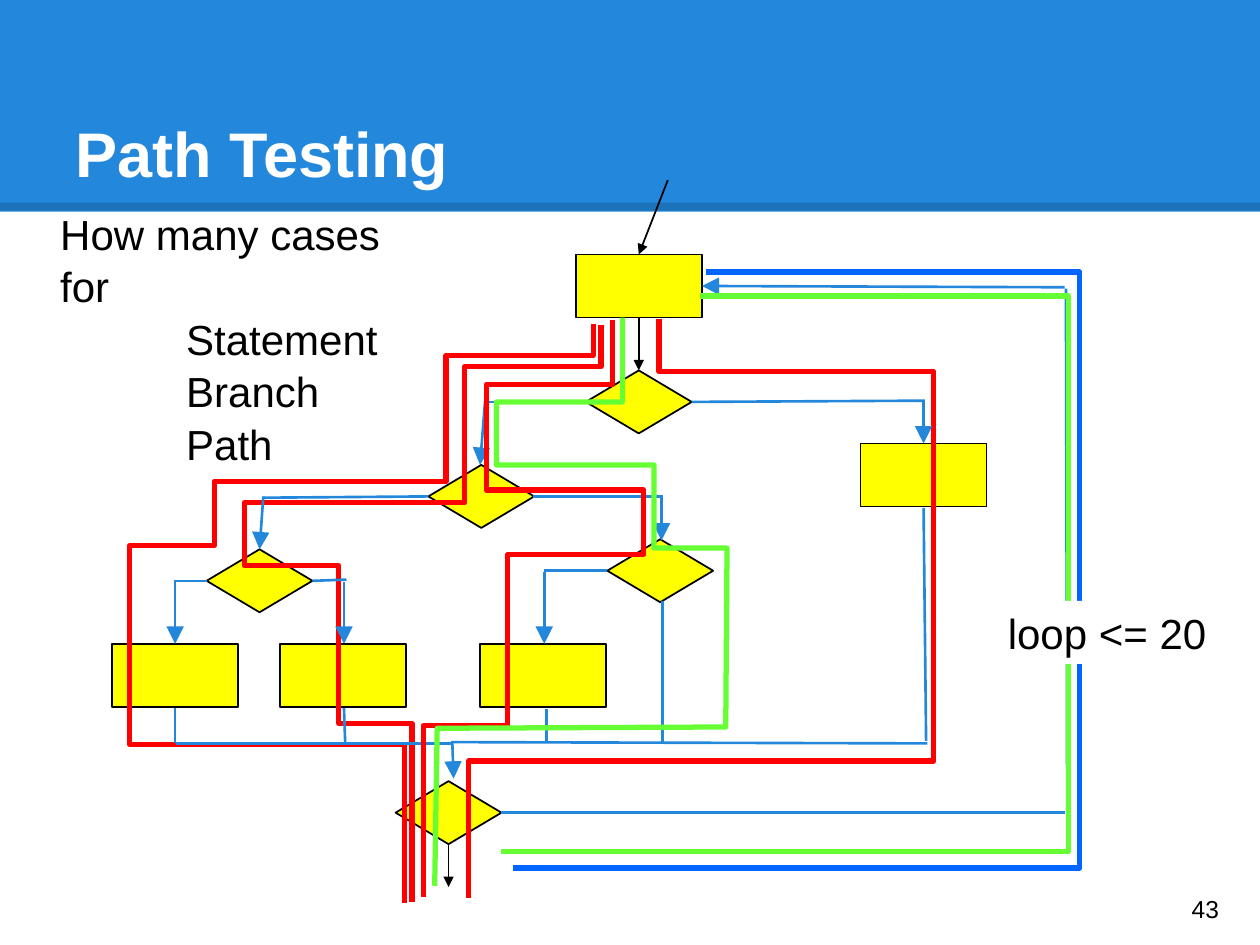
"""Build the path testing slide with its flowchart and coloured test paths."""
import dataclasses

import lxml.etree
import pptx
import pptx.dml.color
import pptx.enum.shapes
import pptx.enum.text
import pptx.oxml.ns
import pptx.util

SHAPES = pptx.enum.shapes.MSO_SHAPE
ANCHORS = pptx.enum.text.MSO_ANCHOR


@dataclasses.dataclass(frozen=True)
class Theme:
    """Hold the colours, font, type sizes and line widths."""
    font: str = "Arial"
    black: str = "000000"
    white: str = "FFFFFF"
    blue: str = "2388DB"
    yellow: str = "FFFF00"
    red: str = "FF0000"
    green: str = "66FF33"
    loop_blue: str = "0066FF"
    title_size: int = 36
    body_size: int = 24
    number_size: int = 14
    thin: float = 1
    flow: float = 1.5
    path_width: float = 3
    rule: float = 4.5


THEME = Theme()
PROCESS_SIZE = (1, 0.5)
DECISION_SIZE = (0.84, 0.5)
PROCESSES = [(4.57, 2.02), (6.83, 3.52), (3.81, 5.11), (2.22, 5.11), (0.89, 5.11)]
DECISIONS = [(3.4, 3.69), (4.65, 2.94), (4.82, 4.28), (1.64, 4.36), (3.14, 6.2)]
BLACK_ARROWS = [(5.07, 2.52, 5.07, 2.94), (3.56, 6.7, 3.56, 7.04), (5.3, 1.43, 5.07, 2.02)]
FIRST_BRANCH = (4.65, 3.19, 3.84, 3.19)
FIRST_ARROW = (3.85, 3.18, 3.81, 3.69)
FLOW_LINES = [
    (5.49, 3.19, 7.34, 3.18), (3.98, 6.45, 8.45, 6.45), (8.47, 6.45, 8.46, 2.29),
    (7.33, 4.03, 7.35, 5.88), (7.36, 5.9, 3.58, 5.89), (4.23, 3.94, 5.25, 3.94),
    (3.4, 3.94, 2.09, 3.95), (5.26, 4.77, 5.26, 5.9), (4.32, 4.53, 4.82, 4.53),
    (4.34, 5.63, 4.34, 5.9), (3.58, 5.9, 1.4, 5.9), (1.39, 5.62, 1.39, 5.9),
    (2.73, 5.62, 2.74, 5.9), (2.48, 4.61, 2.75, 4.6), (1.64, 4.61, 1.4, 4.61),
]
FLOW_ARROWS = [
    (7.33, 3.18, 7.33, 3.52), (8.45, 2.28, 5.57, 2.27), (3.59, 5.89, 3.6, 6.18),
    (5.25, 3.93, 5.25, 4.29), (2.09, 3.94, 2.06, 4.36), (4.32, 4.54, 4.32, 5.11),
    (2.73, 4.62, 2.73, 5.11), (1.39, 4.6, 1.39, 5.11),
]
OUTER_PATHS = [
    [(5.23, 2.53), (5.23, 2.95), (7.41, 2.95), (7.41, 6.04), (3.72, 6.04), (3.72, 7.13)],
    [(4.71, 2.57), (4.71, 2.82), (3.54, 2.82), (3.54, 3.82), (1.7, 3.82), (1.7, 4.33),
     (1.03, 4.33), (1.03, 5.91), (3.21, 5.91), (3.21, 7.17)],
    [(4.77, 2.58), (4.77, 2.91), (3.69, 2.91), (3.69, 3.99), (1.94, 3.99), (1.94, 4.49),
     (2.69, 4.49), (2.69, 5.74), (3.27, 5.74), (3.27, 7.16)],
]
INNER_PATH = [(4.86, 2.54), (4.86, 3.05), (3.86, 3.05), (3.86, 3.89), (5.11, 3.89),
              (5.11, 4.4), (4.03, 4.4), (4.03, 5.76), (3.36, 5.76), (3.36, 7.12)]
GREEN_PATH = [(4.94, 2.52), (4.94, 3.19), (3.94, 3.19), (3.94, 3.69), (5.19, 3.69),
              (5.19, 4.35), (5.77, 4.35), (5.76, 5.77), (3.47, 5.78), (3.45, 7.03)]
GREEN_LOOP = [(3.98, 6.76), (8.48, 6.76), (8.48, 2.35), (5.56, 2.35)]
BLUE_LOOP = [(4.07, 6.89), (8.57, 6.89), (8.57, 2.16), (5.6, 2.16)]


def lengths(*inches):
    """Turn inch values into slide lengths."""
    return [pptx.util.Cm(value * 2.54) for value in inches]


def rgb(colour):
    """Turn a hex string into a colour."""
    return pptx.dml.color.RGBColor.from_string(colour)


def add_child(parent, tag, **attributes):
    """Append a drawing element to an XML parent."""
    return lxml.etree.SubElement(parent, pptx.oxml.ns.qn(tag), attributes)


def style_line(line, colour, width):
    """Set the colour and width of a line."""
    line.color.rgb = rgb(colour)
    line.width = pptx.util.Pt(width)


def add_line(page, ends, colour, width, arrow=None, opacity=None):
    """Draw a straight line with an optional arrowhead size and opacity."""
    connector = page.shapes.add_connector(
        pptx.enum.shapes.MSO_CONNECTOR.STRAIGHT, *lengths(*ends))
    style_line(connector.line, colour, width)
    properties = connector._element.spPr
    outline = properties.find(pptx.oxml.ns.qn("a:ln"))
    if opacity:
        shade = outline.find(".//" + pptx.oxml.ns.qn("a:srgbClr"))
        add_child(shade, "a:alpha", val=str(opacity * 1000))
    if arrow:
        add_child(outline, "a:tailEnd", type="triangle", w=arrow, len=arrow)
    add_child(properties, "a:effectLst")


def add_block(page, kind, place, fill, outline=None):
    """Draw a filled preset shape."""
    shape = page.shapes.add_shape(kind, *lengths(*place))
    shape.shadow.inherit = False
    shape.fill.solid()
    shape.fill.fore_color.rgb = rgb(fill)
    if outline:
        style_line(shape.line, outline, THEME.thin)
    else:
        shape.line.fill.background()
    return shape


def add_path(page, points, colour):
    """Draw an open test path through the given points."""
    corners = [lengths(*point) for point in points]
    builder = page.shapes.build_freeform(*corners[0], scale=1.0)
    builder.add_line_segments(corners[1:], close=False)
    shape = builder.convert_to_shape()
    shape.shadow.inherit = False
    shape.fill.background()
    style_line(shape.line, colour, THEME.path_width)


def write_text(shape, lines, size, colour=THEME.black, bold=False,
               anchor=ANCHORS.TOP, indent=0, spacing=1.0):
    """Write lines into a shape, indenting every line after the first."""
    frame = shape.text_frame
    frame.word_wrap = True
    frame.vertical_anchor = anchor
    frame.margin_left, frame.margin_top = lengths(0.1, 0.05)
    frame.margin_right, frame.margin_bottom = lengths(0.1, 0.05)
    for index, text in enumerate(lines):
        para = frame.add_paragraph() if index else frame.paragraphs[0]
        para.alignment = pptx.enum.text.PP_ALIGN.LEFT
        para.line_spacing = spacing
        if index and indent:
            para._p.get_or_add_pPr().set("marL", str(lengths(indent)[0]))
        span = para.add_run()
        span.text = text
        span.font.name = THEME.font
        span.font.size = pptx.util.Pt(size)
        span.font.bold = bold
        span.font.color.rgb = rgb(colour)


def add_text(page, place, lines, size, **formats):
    """Add a text box with formatted lines."""
    write_text(page.shapes.add_textbox(*lengths(*place)), lines, size, **formats)


def add_flowchart(page):
    """Draw the flowchart, its connections and the test paths."""
    add_line(page, FIRST_BRANCH, THEME.blue, THEME.flow)
    add_line(page, FIRST_ARROW, THEME.blue, THEME.flow, arrow="lg")
    for kind, size, corners in (
            (SHAPES.FLOWCHART_PROCESS, PROCESS_SIZE, PROCESSES),
            (SHAPES.FLOWCHART_DECISION, DECISION_SIZE, DECISIONS)):
        for corner in corners:
            add_block(page, kind, corner + size, THEME.yellow, THEME.black)
    for ends in BLACK_ARROWS:
        add_line(page, ends, THEME.black, THEME.thin, arrow="med")
    for points in OUTER_PATHS:
        add_path(page, points, THEME.red)
    for ends in FLOW_LINES:
        add_line(page, ends, THEME.blue, THEME.flow)
    for ends in FLOW_ARROWS:
        add_line(page, ends, THEME.blue, THEME.flow, arrow="lg")
    for points, colour in ((GREEN_LOOP, THEME.green), (BLUE_LOOP, THEME.loop_blue),
                           (INNER_PATH, THEME.red), (GREEN_PATH, THEME.green)):
        add_path(page, points, colour)


def main():
    """Build and save the deck."""
    deck = pptx.Presentation()
    deck.slide_width, deck.slide_height = lengths(10, 7.5)
    page = deck.slides.add_slide(deck.slide_layouts[6])
    add_block(page, SHAPES.RECTANGLE, (0, 0, 10, 1.68), THEME.blue)
    add_line(page, (0, 1.64, 10, 1.64), THEME.black, THEME.rule, opacity=15)
    add_text(page, (0.5, 0.58, 9, 1.25), ["Path Testing"], THEME.title_size,
             colour=THEME.white, bold=True, anchor=ANCHORS.MIDDLE)
    add_text(page, (0.38, 1.59, 2.93, 1.7),
             ["How many cases for", "Statement", "Branch", "Path"],
             THEME.body_size, indent=1, spacing=1.04)
    add_flowchart(page)
    label = add_block(page, SHAPES.RECTANGLE, (7.9, 4.77, 1.91, 0.5), THEME.white)
    write_text(label, ["loop <= 20"], THEME.body_size)
    add_text(page, (9.36, 6.93, 0.6, 0.57), ["43"], THEME.number_size,
             anchor=ANCHORS.MIDDLE)
    deck.save("out.pptx")


main()
